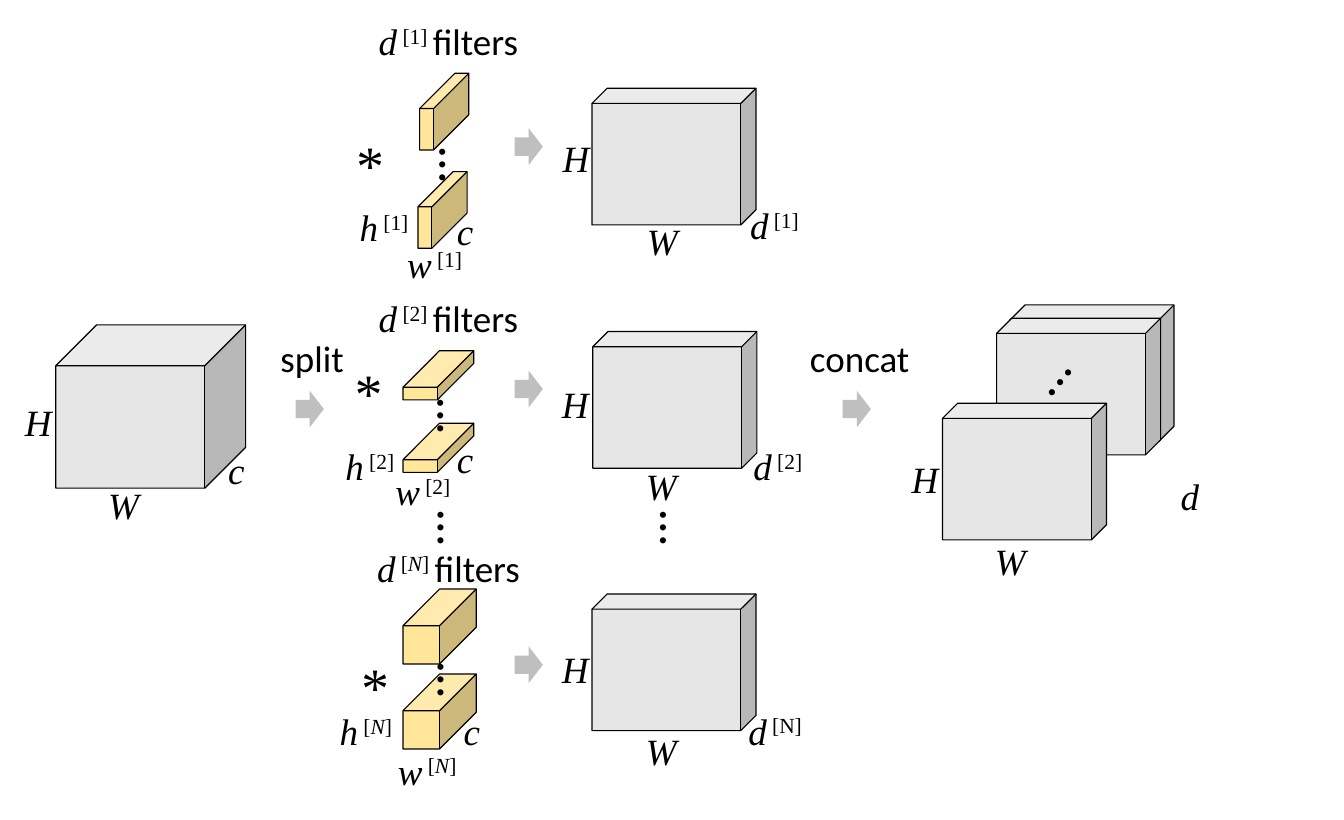
from dataclasses import dataclass
from typing import NamedTuple

from pptx import Presentation, util as u
from pptx.dml.color import RGBColor
from pptx.enum import shapes, text

CELL = u.Inches(0.1)  # side of a square grid cell
GREY, YELLOW, ARROW, BLACK = "E7E6E6", "FFE699", "BFBFBF", "000000"
SERIF, SANS = "Times New Roman", "Calibri"
MAP_SIZE, MAP_DEPTH = (19.7, 16.4), 0.111


class Spot(NamedTuple):
    """Left column and top row."""
    column: float
    row: float


class Piece(NamedTuple):
    """A run of text with its format."""
    words: str
    italic: bool = True
    name: str = SERIF
    size: int = 32
    raised: bool = False


class Block(NamedTuple):
    """A cube: place, size, depth share and fill."""
    spot: Spot
    size: tuple[float, float]
    depth: float
    fill: str = GREY


@dataclass
class Branch:
    """One group of filters with the feature map it yields."""
    index: str
    title: Spot
    filters: list[Spot]
    filter_size: tuple[float, float]
    filter_depth: float
    star: Spot
    dots: Spot
    dots_width: float
    height: Spot
    width: Spot
    channel: Spot
    arrow: Spot
    output: Spot
    output_height: Spot
    output_width: Spot
    output_depth: Spot


BRANCHES = [
    Branch("1", Spot(44.5, 1.7), [Spot(50.4, 8.8), Spot(50.2, 20.6)], (5.9, 9.2), 0.716,
           Spot(41.5, 15.1), Spot(52.4, 15.3), 5.6,
           Spot(42.2, 24.1), Spot(47.9, 28.5), Spot(53.9, 24.5), Spot(61.8, 15.4),
           Spot(71.1, 10.6), Spot(66.6, 15.8), Spot(76.7, 25.7), Spot(89.1, 23.8)),
    Branch("2", Spot(44.5, 35), [Spot(48.4, 42.1), Spot(48.4, 50.8)], (8.5, 5.9), 0.742,
           Spot(41.3, 42.5), Spot(50.9, 46.7), 8.1,
           Spot(40.5, 52.7), Spot(46.5, 55.7), Spot(53.9, 51.9), Spot(61.8, 44.5),
           Spot(71.2, 39.8), Spot(66.5, 45.3), Spot(76.6, 55.1), Spot(89.5, 52.7)),
    Branch("N", Spot(44.3, 65), [Spot(48.4, 70.7), Spot(48.4, 80.9)], (8.8, 9), 0.501,
           Spot(42.1, 77.8), Spot(52.2, 77.2), 5.6,
           Spot(39.8, 84.6), Spot(46.8, 89.3), Spot(54.7, 84.6), Spot(61.8, 77.6),
           Spot(71.1, 71.3), Spot(66.5, 77.1), Spot(76.6, 87), Spot(88.9, 84.5)),
]
INPUT = Block(Spot(6.7, 39), (22.8, 19.6), 0.25)
STACK = [Spot(121.3, 36.6), Spot(119.7, 38.2), Spot(113.2, 48.4)]
STEPS = [("split", Spot(32.7, 39.8), Spot(35.5, 46.9)),
         ("concat", Spot(96.3, 39.8), Spot(101.2, 46.9))]
SYMBOLS = [("H", Spot(2, 47.5)), ("W", Spot(12, 57.4)), ("c", Spot(26.4, 53.2)),
           ("H", Spot(108.5, 54.3)), ("W", Spot(118.5, 64.2)), ("d", Spot(140.8, 56.3))]
GAPS = [(Spot(52.2, 58.9), 90), (Spot(78.9, 58.9), 90), (Spot(126.4, 42.8), 129.3)]


def cells(*counts: float) -> list[u.Emu]:
    """Turn counts of grid cells into lengths."""
    return [u.Emu(round(count * CELL)) for count in counts]


def colour(hex_string: str) -> RGBColor:
    """Turn a hex string into a colour."""
    return RGBColor.from_string(hex_string)


def add_solid(kind: shapes.MSO_SHAPE, spot: Spot, size: tuple[float, float], fill: str):
    """Draw a flat preset shape without a line."""
    shape = slide.shapes.add_shape(kind, *cells(*spot, *size))
    shape.shadow.inherit = False
    shape.fill.solid()
    shape.fill.fore_color.rgb = colour(fill)
    shape.line.fill.background()
    return shape


def add_cube(block: Block) -> None:
    """Draw an outlined cube."""
    cube = add_solid(shapes.MSO_SHAPE.CUBE, block.spot, block.size, block.fill)
    cube.adjustments[0] = block.depth
    cube.line.color.rgb = colour(BLACK)
    cube.line.width = u.Pt(1)


def add_arrow(spot: Spot) -> None:
    """Draw a block arrow between two stages."""
    add_solid(shapes.MSO_SHAPE.RIGHT_ARROW, spot, (3.4, 4.4), ARROW)


def add_label(spot: Spot, pieces: list[Piece], size: tuple[float, float] = (23.6, 6.4),
              rotation: float = 0) -> None:
    """Write one line of formatted pieces."""
    box = slide.shapes.add_textbox(*cells(*spot, *size))
    box.rotation = rotation
    box.text_frame.word_wrap = True
    box.text_frame.auto_size = text.MSO_AUTO_SIZE.SHAPE_TO_FIT_TEXT
    paragraph = box.text_frame.paragraphs[0]
    for piece in pieces:
        run = paragraph.add_run()
        run.text = piece.words
        run.font.color.rgb = colour(BLACK)
        formats = {"name": piece.name, "size": u.Pt(piece.size), "italic": piece.italic}
        for attribute, value in formats.items():
            setattr(run.font, attribute, value)
        if piece.raised:
            run._r.get_or_add_rPr().set("baseline", "30000")


def add_dots(spot: Spot, width: float = 5.6, rotation: float = 90) -> None:
    """Write a turned ellipsis."""
    add_label(spot, [Piece("…", False, SANS, 44)], (width, 8.4), rotation)


def indexed(symbol: str, index: str, slanted: bool = True) -> list[Piece]:
    """Give a symbol a raised index in brackets; letters may slant."""
    return [Piece(symbol), Piece(" [", False, raised=True),
            Piece(index, slanted and index.isalpha(), raised=True),
            Piece("]", False, raised=True)]


def add_branch(branch: Branch) -> None:
    """Draw filters, arrow and feature map of a branch with their labels."""
    for spot in branch.filters:
        add_cube(Block(spot, branch.filter_size, branch.filter_depth, YELLOW))
    add_cube(Block(branch.output, MAP_SIZE, MAP_DEPTH))
    add_arrow(branch.arrow)
    add_dots(branch.dots, branch.dots_width)
    add_label(branch.star, [Piece("*", size=48)], (4.7, 9.1))
    index = branch.index
    title = indexed("d", index) + [Piece(" ", False, raised=True), Piece("filters", False, SANS)]
    labels = [(branch.title, title),
              (branch.height, indexed("h", index)),
              (branch.width, indexed("w", index)),
              (branch.channel, [Piece("c")]),
              (branch.output_height, [Piece("H")]),
              (branch.output_width, [Piece("W")]),
              (branch.output_depth, indexed("d", index, slanted=False))]
    for spot, pieces in labels:
        add_label(spot, pieces)


presentation = Presentation()
presentation.slide_width = u.Cm(41)
presentation.slide_height = u.Cm(25)
slide = presentation.slides.add_slide(presentation.slide_layouts[6])

add_cube(INPUT)
for place in STACK:
    add_cube(Block(place, MAP_SIZE, MAP_DEPTH))
for stage in BRANCHES:
    add_branch(stage)
for step, label_spot, arrow_spot in STEPS:
    add_label(label_spot, [Piece(step, False, SANS)])
    add_arrow(arrow_spot)
for letter, place in SYMBOLS:
    add_label(place, [Piece(letter)], (13.5, 6.4))
for place, turn in GAPS:
    add_dots(place, rotation=turn)

presentation.save("out.pptx")
